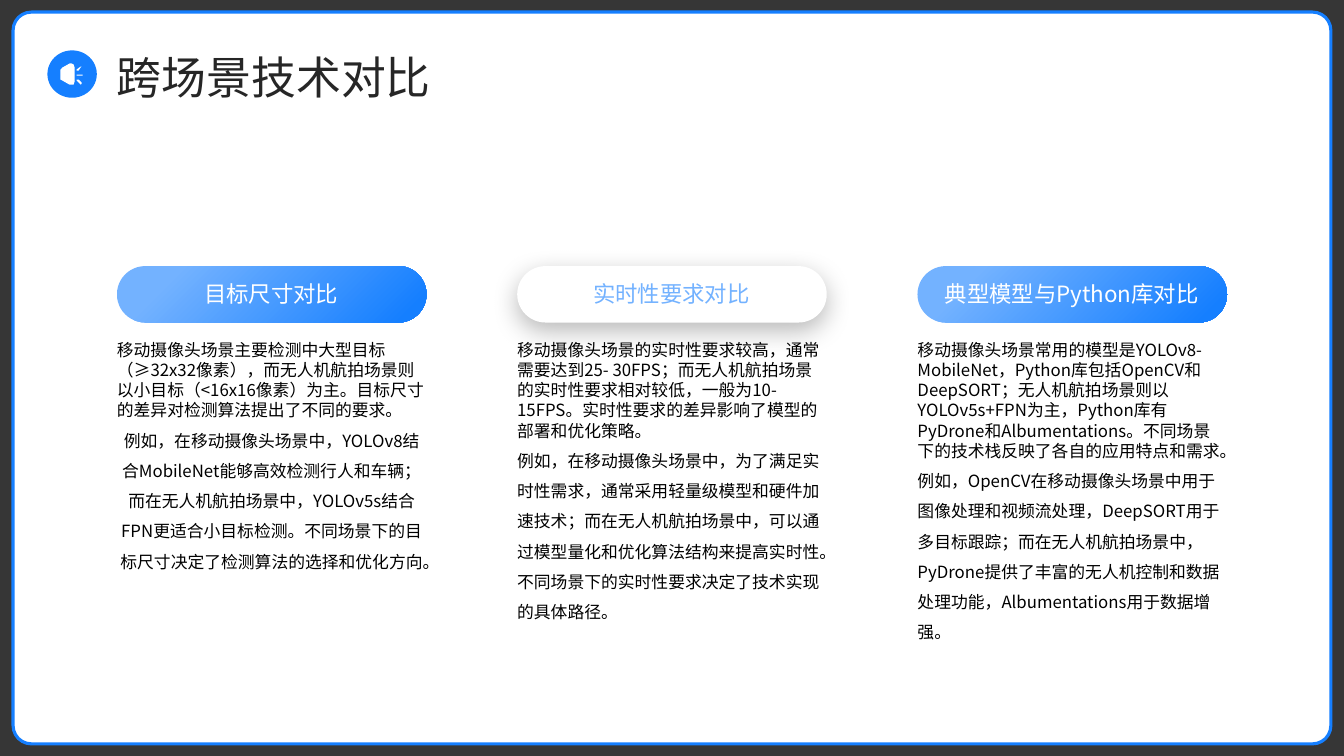
"""Build the slide that compares two camera scenes in three columns."""
from dataclasses import dataclass

from lxml import etree
from pptx import Presentation
from pptx.dml.color import RGBColor
from pptx.enum import shapes as kinds, text as modes
from pptx.oxml import ns
from pptx.util import Inches, Pt

FONT = "Noto Sans CJK SC"
BLACK = RGBColor(0x00, 0x00, 0x00)
WHITE = RGBColor(0xFF, 0xFF, 0xFF)
BLUE = RGBColor(0x15, 0x7F, 0xFF)
SKY = RGBColor(0x73, 0xB2, 0xFF)
INK = RGBColor(0x26, 0x26, 0x26)
LEFT = modes.PP_ALIGN.LEFT
MID = modes.PP_ALIGN.CENTER
RECT = kinds.MSO_SHAPE.RECTANGLE
ROUND = kinds.MSO_SHAPE.ROUNDED_RECTANGLE
OVAL = kinds.MSO_SHAPE.OVAL
START, PITCH, WIDTH = 1.16, 3.97, 3.07

Box = tuple[float, float, float, float]


@dataclass
class Topic:
    """One column: heading, summary and example."""
    head: str
    brief: str
    case: str
    align: modes.PP_ALIGN = LEFT
    plain: bool = False


TOPICS = [
    Topic("目标尺寸对比",
          "移动摄像头场景主要检测中大型目标（≥32x32像素），而无人机航拍场景则"
          "以小目标（<16x16像素）为主。目标尺寸的差异对检测算法提出了不同的要求。",
          "例如，在移动摄像头场景中，YOLOv8结合MobileNet能够高效检测行人和车辆；"
          "而在无人机航拍场景中，YOLOv5s结合FPN更适合小目标检测。"
          "不同场景下的目标尺寸决定了检测算法的选择和优化方向。", align=MID),
    Topic("实时性要求对比",
          "移动摄像头场景的实时性要求较高，通常需要达到25- 30FPS；而无人机航拍场景"
          "的实时性要求相对较低，一般为10- 15FPS。实时性要求的差异影响了模型的"
          "部署和优化策略。",
          "例如，在移动摄像头场景中，为了满足实时性需求，通常采用轻量级模型和硬件加"
          "速技术；而在无人机航拍场景中，可以通过模型量化和优化算法结构来提高实时性。"
          "不同场景下的实时性要求决定了技术实现的具体路径。", plain=True),
    Topic("典型模型与Python库对比",
          "移动摄像头场景常用的模型是YOLOv8- MobileNet，Python库包括OpenCV和"
          "DeepSORT；无人机航拍场景则以YOLOv5s+FPN为主，Python库有PyDrone和"
          "Albumentations。不同场景下的技术栈反映了各自的应用特点和需求。",
          "例如，OpenCV在移动摄像头场景中用于图像处理和视频流处理，DeepSORT用"
          "于多目标跟踪；而在无人机航拍场景中，PyDrone提供了丰富的无人机控制和数据"
          "处理功能，Albumentations用于数据增强。"),
]

HORN = [(71, 63), (73, 64), (74, 67), (74, 81), (73, 84), (71, 84), (69, 84),
        (62, 80), (60.5, 79), (60, 77), (60, 71), (60.5, 69), (62, 67), (69, 63)]
RAYS = [
    [(76, 69), (80, 65.5), (81, 66), (80.5, 67), (77.5, 70), (76.5, 70)],
    [(76.5, 74), (82, 74), (82.5, 74.5), (82, 75), (76.5, 75), (76, 74.5)],
    [(76.5, 79), (77.5, 79), (81, 82), (81, 83), (80, 84), (76, 80)],
]


def blend(fill, low: int = 0, high: int = 100) -> None:
    """Give a fill the slanted blue gradient."""
    fill.gradient()
    fill.gradient_angle = 315
    for stop, spot, color in zip(fill.gradient_stops, (low, high), (SKY, BLUE)):
        stop.position = spot / 100
        stop.color.rgb = color


def panel(slide, kind, box: Box, color: RGBColor | None = None, curve: float | None = None):
    """Draw a preset shape, with the gradient when no colour is given."""
    shape = slide.shapes.add_shape(kind, *map(Inches, box))
    shape.shadow.inherit = False
    shape.line.fill.background()
    if curve is not None:
        shape.adjustments[0] = curve
    if color is None:
        blend(shape.fill, 18, 93)
    else:
        shape.fill.solid()
        shape.fill.fore_color.rgb = color
    return shape


def sheer(shape, share: int) -> None:
    """Set the opacity of a solid fill in percent."""
    tone = shape.fill._xPr.find(ns.qn("a:solidFill"))[0]
    etree.SubElement(tone, ns.qn("a:alpha"), val=str(share * 1000))


def shade(shape) -> None:
    """Add a soft shadow below a shape."""
    group = shape._element.spPr.find(ns.qn("a:effectLst"))
    drop = etree.SubElement(group, ns.qn("a:outerShdw"), blurRad=str(Pt(19)),
                            dist=str(Pt(6)), dir="5400000", algn="t", rotWithShape="0")
    tone = etree.SubElement(drop, ns.qn("a:srgbClr"), val=str(BLACK))
    etree.SubElement(tone, ns.qn("a:alpha"), val="28000")


def write(slide, text: str, box: Box, *, size: int = 12, color: RGBColor | None = BLACK,
          aligns: tuple = (LEFT,), leads: tuple = (None,), middle: bool = False,
          wrap: bool = True) -> None:
    """Add a text box with one paragraph for each line of text."""
    frame = slide.shapes.add_textbox(*map(Inches, box)).text_frame
    frame.word_wrap = wrap
    frame.margin_left = frame.margin_right = 0
    frame.margin_top = frame.margin_bottom = 0
    anchor = modes.MSO_ANCHOR
    frame.vertical_anchor = anchor.MIDDLE if middle else anchor.TOP
    frame.text = text
    for para, align, lead in zip(frame.paragraphs, aligns, leads):
        para.alignment = align
        para.line_spacing = lead
        run = para.runs[0]
        font = run.font
        font.size = Pt(size)
        font.name = FONT
        if color is None:
            blend(font.fill)
        else:
            font.color.rgb = color
        face = etree.Element(ns.qn("a:ea"), typeface=FONT)
        run._r.rPr.find(ns.qn("a:latin")).addnext(face)


def column(slide, topic: Topic, left: float) -> None:
    """Draw the pill and the texts of one topic."""
    pill = panel(slide, ROUND, (left, 2.64, WIDTH, 0.56),
                 WHITE if topic.plain else None, 0.5)
    if topic.plain:
        shade(pill)
    write(slide, topic.head, (left + 0.08, 2.73, 2.9, 0.37), size=16,
          color=None if topic.plain else WHITE, aligns=(MID,), middle=True,
          wrap=not topic.plain)
    write(slide, f"{topic.brief}\n{topic.case}", (left, 3.37, WIDTH, 1.89),
          aligns=(LEFT, topic.align), leads=(Pt(14.4), Pt(21.6)))


def icon(slide) -> None:
    """Draw the horn with its rays on a blue disc."""
    panel(slide, OVAL, (0.47, 0.5, 0.49, 0.47), BLUE)
    pen = slide.shapes.build_freeform(*HORN[0], scale=Inches(0.01))
    pen.add_line_segments(HORN[1:], close=True)
    for ray in RAYS:
        pen.move_to(*ray[0])
        pen.add_line_segments(ray[1:], close=True)
    horn = pen.convert_to_shape()
    horn.shadow.inherit = False
    horn.fill.solid()
    horn.fill.fore_color.rgb = WHITE
    horn.line.fill.background()


def main() -> None:
    """Build and save the slide."""
    deck = Presentation()
    deck.slide_width, deck.slide_height = Inches(13.33), Inches(7.5)
    slide = deck.slides.add_slide(deck.slide_layouts[6])
    sheer(panel(slide, RECT, (0, 0, 13.33, 7.5), BLACK), 79)
    card = panel(slide, ROUND, (0.13, 0.12, 13.07, 7.26), WHITE, 0.025)
    card.line.color.rgb = BLUE
    card.line.width = Pt(2.25)
    for index, topic in enumerate(TOPICS):
        column(slide, topic, START + index * PITCH)
    write(slide, "跨场景技术对比", (START, 0.5, 11.43, 0.47), size=32, color=INK,
          leads=(1.1,), middle=True)
    icon(slide)
    deck.save("out.pptx")


if __name__ == "__main__":
    main()
